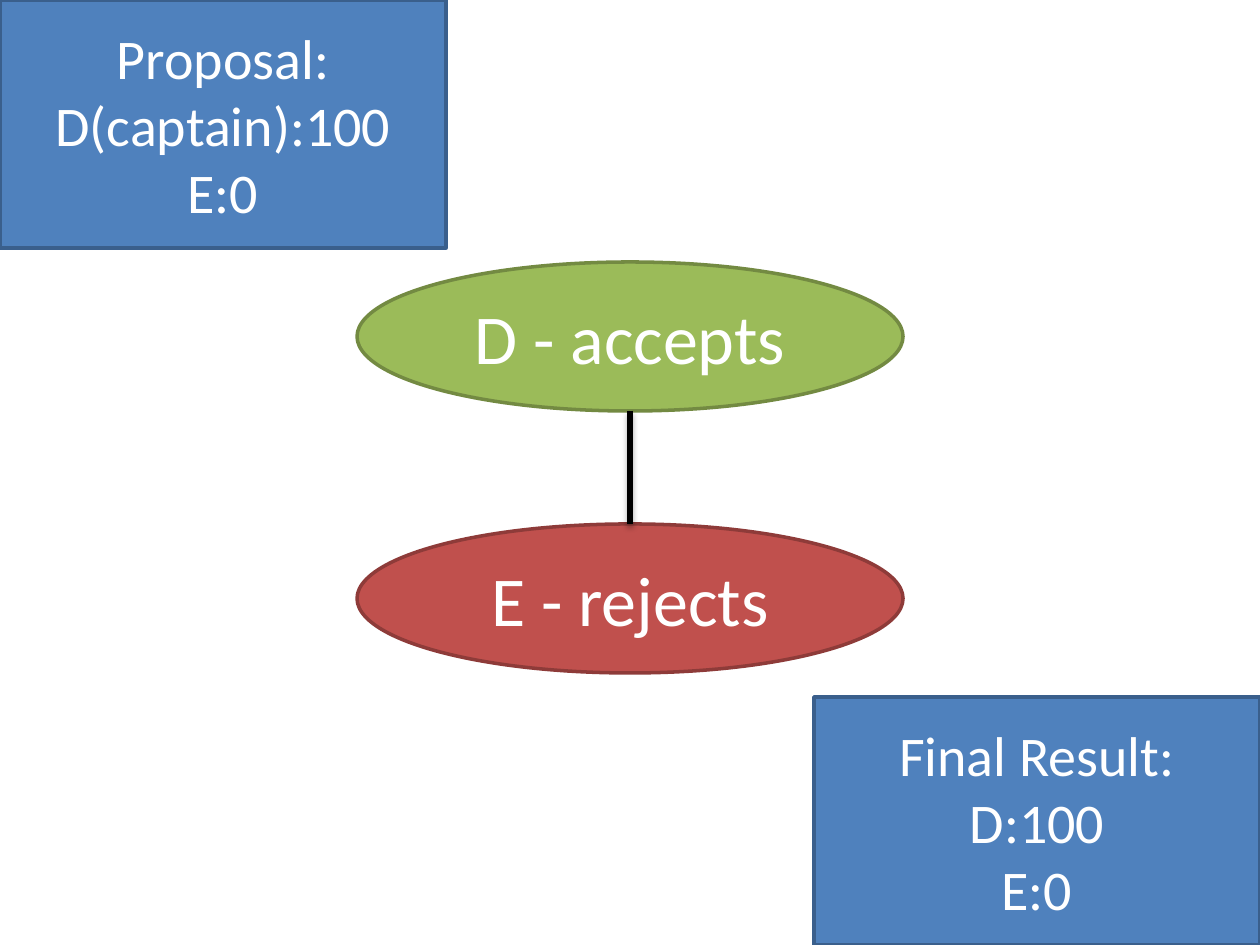
import pptx
import pptx.dml.color
import pptx.enum.shapes
import pptx.enum.text
import pptx.oxml
import pptx.util

RGBColor = pptx.dml.color.RGBColor
Shapes = pptx.enum.shapes.MSO_SHAPE
WHITE = RGBColor(0xFF, 0xFF, 0xFF)
BLACK = RGBColor(0, 0, 0)
GREEN, DARK_GREEN = RGBColor(0x9B, 0xBB, 0x59), RGBColor(0x73, 0x8A, 0x42)
RED, DARK_RED = RGBColor(0xC0, 0x50, 0x4D), RGBColor(0x8E, 0x3B, 0x39)
BLUE, DARK_BLUE = RGBColor(0x4F, 0x81, 0xBD), RGBColor(0x3A, 0x5F, 0x8C)

VOTES = [("D - accepts", GREEN, DARK_GREEN), ("E - rejects", RED, DARK_RED)]
PROPOSAL = "Proposal:\nD(captain):100\nE:0"
RESULT = "Final Result:\nD:100\nE:0"

SLIDE_WIDTH, SLIDE_HEIGHT = 1260, 945
VOTE_WIDTH, VOTE_HEIGHT = 546, 149
VOTE_TOP, VOTE_STEP = 262, 262
BOX_WIDTH, BOX_HEIGHT = 446, 248
SHADOW = (
    '<a:effectLst xmlns:a="http://schemas.openxmlformats.org/drawingml/2006/main">'
    '<a:outerShdw blurRad="39370" dist="22860" dir="5400000" rotWithShape="0">'
    '<a:srgbClr val="000000"><a:alpha val="35000"/></a:srgbClr>'
    '</a:outerShdw></a:effectLst>'
)


def px(length):
    return pptx.util.Emu(round(length * 914400 / 126))


def add_node(kind, left, top, width, height, text, size, fill, outline):
    shape = slide.shapes.add_shape(kind, px(left), px(top), px(width), px(height))
    shape.shadow.inherit = False
    shape.fill.solid()
    shape.fill.fore_color.rgb = fill
    shape.line.color.rgb = outline
    shape.line.width = pptx.util.Pt(2)
    text_frame = shape.text_frame
    text_frame.text = text
    text_frame.word_wrap = True
    text_frame.vertical_anchor = pptx.enum.text.MSO_ANCHOR.MIDDLE
    for paragraph in text_frame.paragraphs:
        paragraph.alignment = pptx.enum.text.PP_ALIGN.CENTER
        for run in paragraph.runs:
            run.font.name = "Calibri"
            run.font.size = pptx.util.Pt(size)
            run.font.color.rgb = WHITE


presentation = pptx.Presentation()
presentation.slide_width = px(SLIDE_WIDTH)
presentation.slide_height = px(SLIDE_HEIGHT)
slide = presentation.slides.add_slide(presentation.slide_layouts[6])

vote_left = (SLIDE_WIDTH - VOTE_WIDTH) / 2
for index, (text, fill, outline) in enumerate(VOTES):
    add_node(Shapes.OVAL, vote_left, VOTE_TOP + index * VOTE_STEP,
             VOTE_WIDTH, VOTE_HEIGHT, text, 40, fill, outline)

for left, top, text in [
    (0, 0, PROPOSAL),
    (SLIDE_WIDTH - BOX_WIDTH, SLIDE_HEIGHT - BOX_HEIGHT, RESULT),
]:
    add_node(Shapes.RECTANGLE, left, top, BOX_WIDTH, BOX_HEIGHT, text, 32, BLUE, DARK_BLUE)

center = px(SLIDE_WIDTH / 2)
link = slide.shapes.add_connector(
    pptx.enum.shapes.MSO_CONNECTOR.STRAIGHT,
    center, px(VOTE_TOP + VOTE_HEIGHT), center, px(VOTE_TOP + VOTE_STEP))
link.line.color.rgb = BLACK
link.line.width = pptx.util.Pt(3)
link._element.spPr.append(pptx.oxml.parse_xml(SHADOW))

presentation.save("out.pptx")
